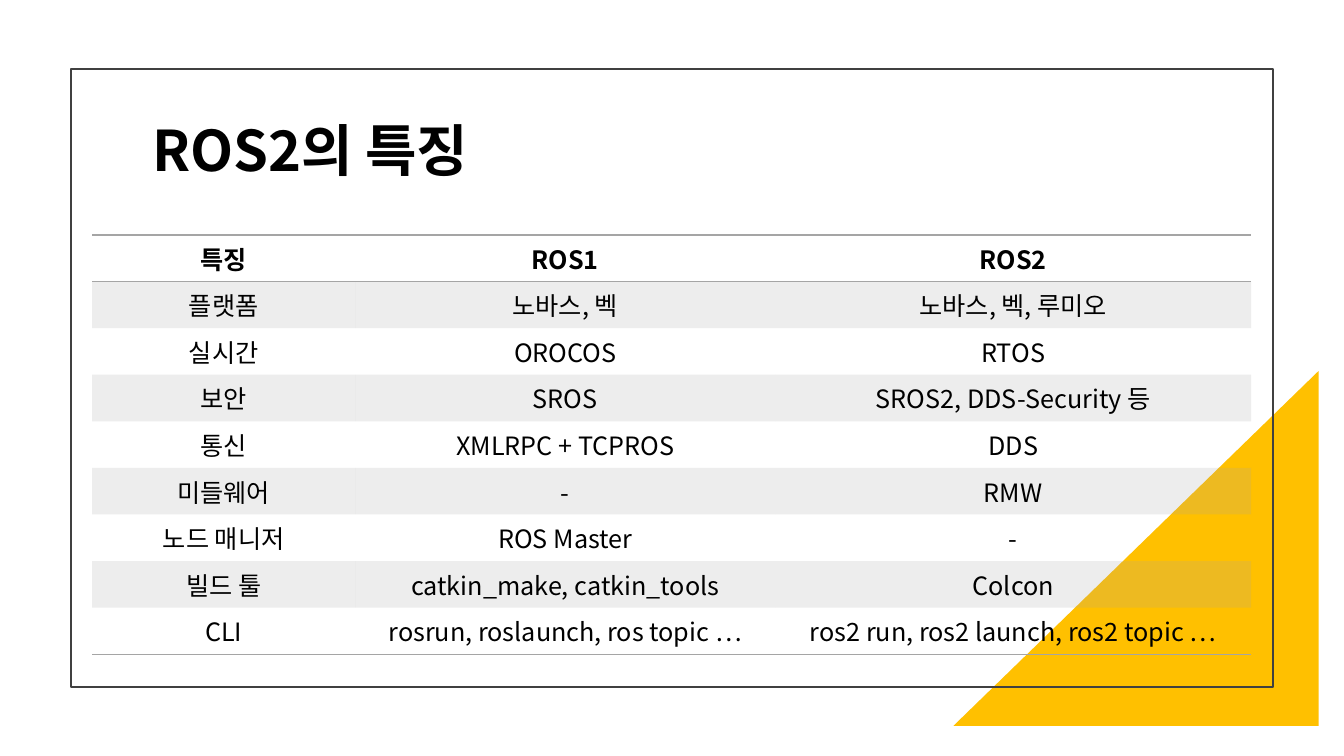
from lxml.etree import SubElement
from pptx import Presentation
from pptx.dml.color import RGBColor
from pptx.enum.shapes import MSO_SHAPE
from pptx.enum.text import MSO_ANCHOR, PP_ALIGN
from pptx.oxml import parse_xml
from pptx.oxml.ns import nsdecls, qn
from pptx.util import Cm, Pt

COLORS = {"text": "000000", "accent": "FFC000", "frame": "404040", "grid": "A5A5A5"}
FONT = "Noto Sans CJK KR"
NO_STYLE = "{2D5ABB26-0587-4C30-8999-92F81FD0307C}"
COLUMN_WIDTHS = [6.63, 10.59, 11.99]
ROW_HEIGHT = 1.03
FEATURES = [
    ("특징", "ROS1", "ROS2"),
    ("플랫폼", "노바스, 벡", "노바스, 벡, 루미오"),
    ("실시간", "OROCOS", "RTOS"),
    ("보안", "SROS", "SROS2, DDS-Security 등"),
    ("통신", "XMLRPC + TCPROS", "DDS"),
    ("미들웨어", "-", "RMW"),
    ("노드 매니저", "ROS Master", "-"),
    ("빌드 툴", "catkin_make, catkin_tools", "Colcon"),
    ("CLI", "rosrun, roslaunch, ros topic …", "ros2 run, ros2 launch, ros2 topic …"),
]


def write(frame, text, size=18, bold=False, align=PP_ALIGN.CENTER, spacing=None):
    paragraph = frame.paragraphs[0]
    paragraph.alignment = align
    paragraph.line_spacing = spacing
    run = paragraph.add_run()
    run.text = text
    run.font.size = Pt(size)
    run.font.bold = bold
    run.font.name = FONT
    run.font.color.rgb = RGBColor.from_string(COLORS["text"])
    SubElement(run.font._element, qn("a:ea"), typeface=FONT)


def add_borders(cell, sides):
    """Draw 1 pt lines on the given sides, in schema order (T before B)."""
    for position, side in enumerate(sides):
        line = parse_xml(
            f'<a:ln{side} {nsdecls("a")} w="12700"><a:solidFill>'
            f'<a:srgbClr val="{COLORS["grid"]}"/></a:solidFill></a:ln{side}>'
        )
        cell._tc.get_or_add_tcPr().insert(position, line)


prs = Presentation()
prs.slide_width, prs.slide_height = Cm(33.87), Cm(19.05)
slide = prs.slides.add_slide(prs.slide_layouts[5])
shapes = slide.shapes

# Corner triangle and frame
corner = shapes.add_shape(MSO_SHAPE.RIGHT_TRIANGLE, Cm(24.03), Cm(9.35), Cm(9.2), Cm(8.94))
corner._element.spPr.find(qn("a:xfrm")).set("flipH", "1")
corner.shadow.inherit = False
corner.fill.solid()
corner.fill.fore_color.rgb = RGBColor.from_string(COLORS["accent"])
corner.line.fill.background()

border = shapes.add_shape(MSO_SHAPE.RECTANGLE, Cm(1.78), Cm(1.74), Cm(30.3), Cm(15.57))
border.shadow.inherit = False
border.fill.background()
border.line.color.rgb = RGBColor.from_string(COLORS["frame"])
border.line.width = Pt(1.5)

# Comparison table
comparison = shapes.add_table(
    len(FEATURES), len(COLUMN_WIDTHS), Cm(2.32), Cm(5.92),
    Cm(sum(COLUMN_WIDTHS)), Cm(ROW_HEIGHT * len(FEATURES)),
).table
comparison.horz_banding = False
comparison._tbl.tblPr.find(qn("a:tableStyleId")).text = NO_STYLE
for column, width in zip(comparison.columns, COLUMN_WIDTHS):
    column.width = Cm(width)

last_row = len(FEATURES) - 1
for r, feature in enumerate(FEATURES):
    comparison.rows[r].height = Cm(ROW_HEIGHT)
    for c, text in enumerate(feature):
        cell = comparison.cell(r, c)
        write(cell.text_frame, text, bold=r == 0)
        if r % 2:
            cell.fill.solid()
            cell.fill.fore_color.rgb = RGBColor.from_string(COLORS["grid"])
            tint = cell._tc.tcPr.find(".//" + qn("a:srgbClr"))
            SubElement(tint, qn("a:alpha"), val="20000")
        else:
            cell.fill.background()
        if r == 0:
            add_borders(cell, "TB")
        elif r == last_row:
            add_borders(cell, "B")

# Title, in front of the frame
title = shapes.title
title.left, title.top, title.width, title.height = Cm(3.58), Cm(2.54), Cm(22.05), Cm(2.67)
title.text_frame.vertical_anchor = MSO_ANCHOR.MIDDLE
write(title.text_frame, "ROS2의 특징", size=40, bold=True, align=PP_ALIGN.LEFT, spacing=0.9)
shapes._spTree.append(title._element)

prs.save("out.pptx")
